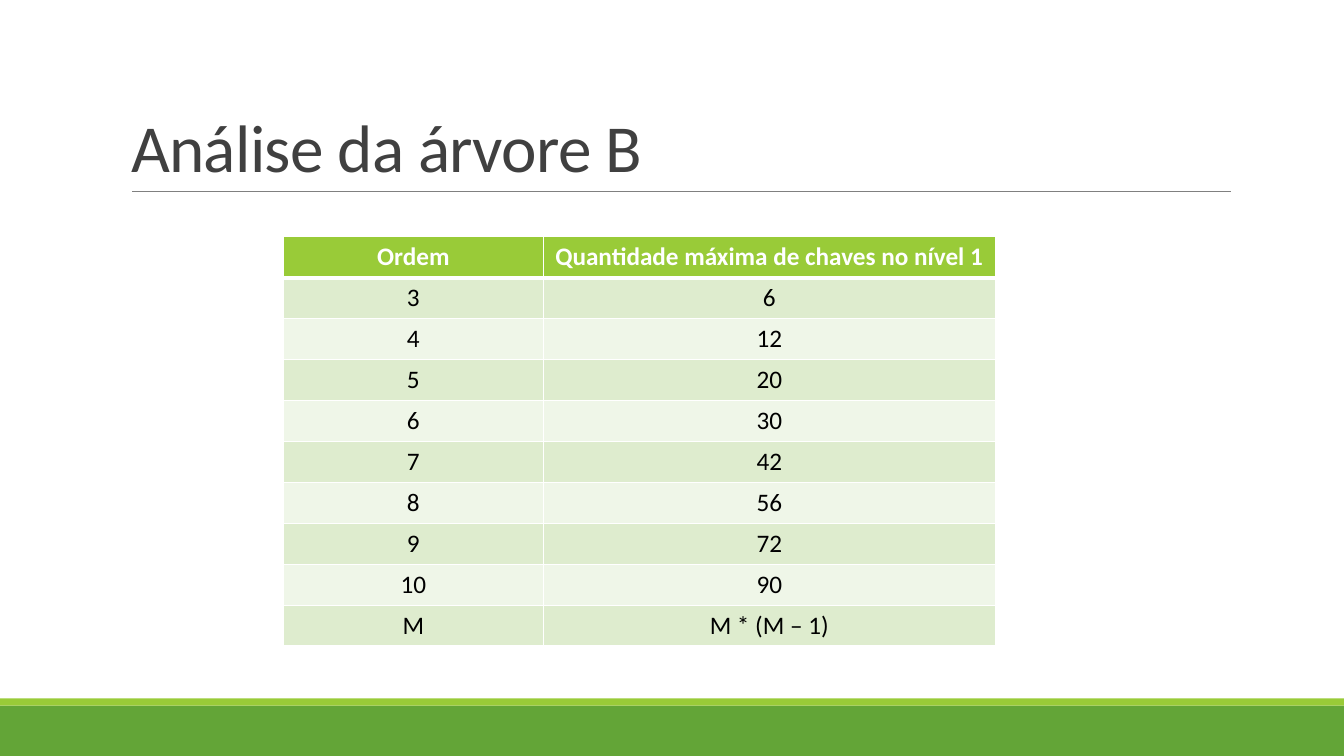
import pptx
import pptx.util
import pptx.dml.color
import pptx.enum.shapes
import pptx.enum.text
import pptx.oxml
import pptx.oxml.ns
from lxml import etree

TITLE = "Análise da árvore B"
HEADER = ("Ordem", "Quantidade máxima de chaves no nível 1")
ORDERS = range(3, 11)
ROWS = [HEADER] + [(str(m), str(m * (m - 1))) for m in ORDERS] + [("M", "M * (M – 1)")]

COLORS = {
    "footer": "63A537",
    "accent": "99CB38",
    "rule": "808080",
    "title": "404040",
    "white": "FFFFFF",
    "text": "000000",
    "odd": "DEECCE",
    "even": "EFF6E8",
}
WIDTH, HEIGHT = 13.33, 7.5
BANDS = [("footer", 7, 0.5), ("accent", 6.93, 0.07)]
TITLE_BOX = (1.2, 0.31, 11, 1.59)
RULE = (1.31, 1.9, 12.21, 1.9)
TABLE_LEFT, TABLE_TOP = 2.81, 2.35
COLUMNS = (2.58, 4.48)
ROW_HEIGHT = 0.406
TITLE_FONT = {"name": "Calibri", "size": pptx.util.Pt(48), "bold": False}
CELL_FONT = {"name": "Calibri", "size": pptx.util.Pt(18)}


def inches(values):
    return [pptx.util.Inches(value) for value in values]


def color(name):
    return pptx.dml.color.RGBColor.from_string(COLORS[name])


def apply_format(target, values):
    for name, value in values.items():
        setattr(target, name, value)


def add_borders(cell, widths):
    properties = cell._tc.get_or_add_tcPr()
    for side, points in widths.items():
        properties.append(pptx.oxml.parse_xml(
            f'<a:ln{side} {pptx.oxml.ns.nsdecls("a")} w="{pptx.util.Pt(points)}">'
            f'<a:solidFill><a:srgbClr val="{COLORS["white"]}"/></a:solidFill></a:ln{side}>'))


def add_decoration(slide):
    for name, top, height in BANDS:
        shape = slide.shapes.add_shape(
            pptx.enum.shapes.MSO_SHAPE.RECTANGLE, *inches((0, top, WIDTH, height)))
        shape.shadow.inherit = False
        shape.fill.solid()
        shape.fill.fore_color.rgb = color(name)
        shape.line.fill.background()
    rule = slide.shapes.add_connector(
        pptx.enum.shapes.MSO_CONNECTOR.STRAIGHT, *inches(RULE))
    rule.line.color.rgb = color("rule")
    rule.line.width = pptx.util.Pt(0.5)
    etree.SubElement(rule._element.spPr, pptx.oxml.ns.qn("a:effectLst"))


def fill_title(slide):
    title = slide.shapes.title
    apply_format(title, dict(zip(("left", "top", "width", "height"), inches(TITLE_BOX))))
    frame = title.text_frame
    frame.text = TITLE
    apply_format(frame, {
        "word_wrap": True,
        "auto_size": pptx.enum.text.MSO_AUTO_SIZE.NONE,
        "vertical_anchor": pptx.enum.text.MSO_ANCHOR.BOTTOM,
    })
    paragraph = frame.paragraphs[0]
    apply_format(paragraph, {
        "alignment": pptx.enum.text.PP_ALIGN.LEFT, "line_spacing": 0.85})
    run = paragraph.runs[0]
    apply_format(run.font, TITLE_FONT)
    run.font.color.rgb = color("title")
    run._r.get_or_add_rPr().set("spc", "-50")


def fill_cell(cell, text, row):
    header = row == 0
    add_borders(cell, {"L": 1, "R": 1, "T": 3 if row == 1 else 1, "B": 3 if header else 1})
    cell.fill.solid()
    cell.fill.fore_color.rgb = color("accent" if header else "odd" if row % 2 else "even")
    cell.text = text
    paragraph = cell.text_frame.paragraphs[0]
    paragraph.alignment = pptx.enum.text.PP_ALIGN.CENTER
    font = paragraph.runs[0].font
    apply_format(font, CELL_FONT | {"bold": header})
    font.color.rgb = color("white" if header else "text")


def add_key_table(slide):
    box = (TABLE_LEFT, TABLE_TOP, sum(COLUMNS), ROW_HEIGHT * len(ROWS))
    table = slide.shapes.add_table(len(ROWS), len(COLUMNS), *inches(box)).table
    for column, width in zip(table.columns, inches(COLUMNS)):
        column.width = width
    for row, texts in enumerate(ROWS):
        for column, text in enumerate(texts):
            fill_cell(table.cell(row, column), text, row)


def main():
    presentation = pptx.Presentation()
    presentation.slide_width, presentation.slide_height = inches((WIDTH, HEIGHT))
    slide = presentation.slides.add_slide(presentation.slide_layouts[5])
    add_decoration(slide)
    fill_title(slide)
    add_key_table(slide)
    presentation.save("out.pptx")


if __name__ == "__main__":
    main()
